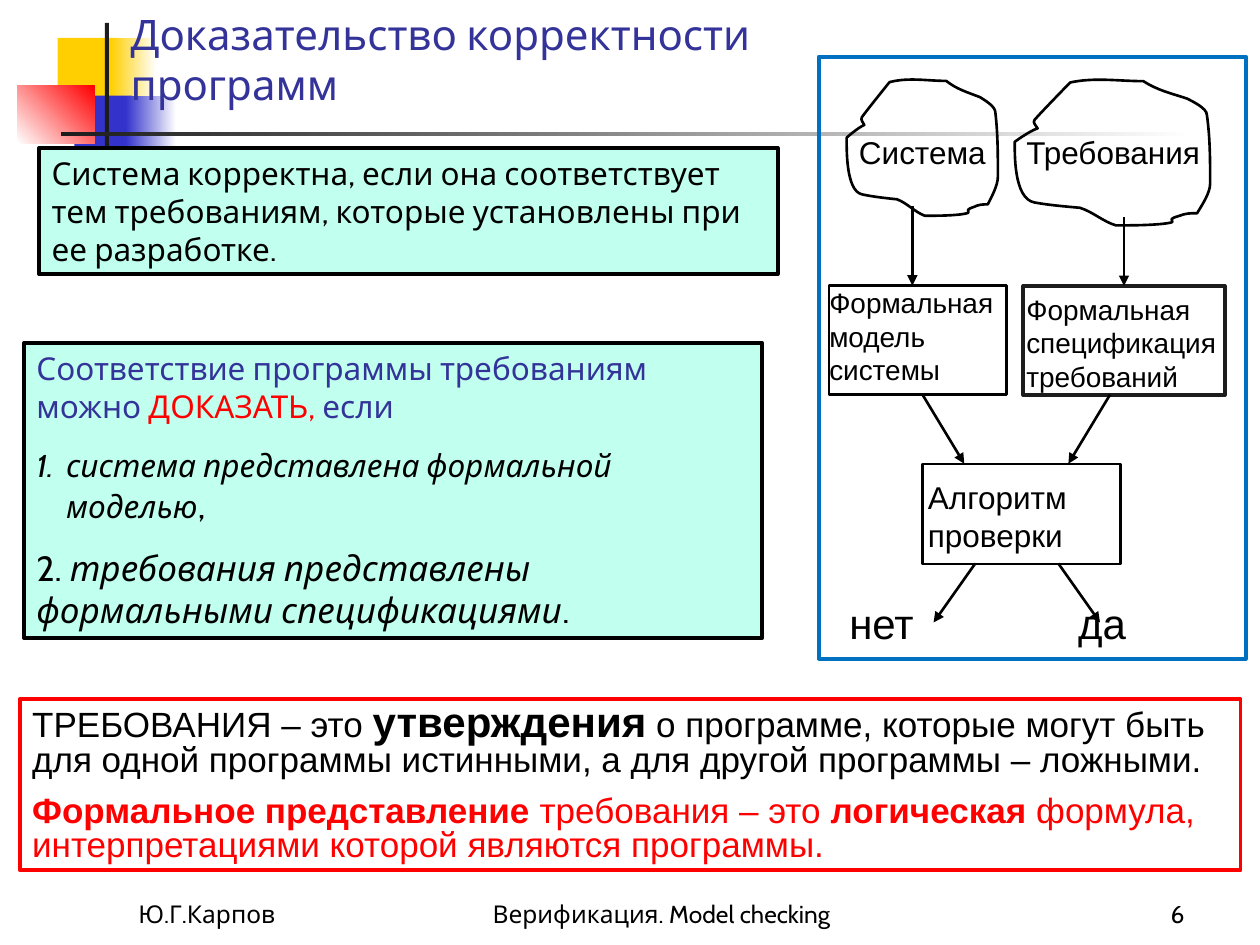
from copy import deepcopy
from dataclasses import dataclass
from typing import Optional

from lxml import etree
from pptx import Presentation
from pptx.dml.color import RGBColor
from pptx.enum import shapes, text
from pptx.oxml import ns
from pptx.util import Pt

COLORS = {
    "black": "000000", "ink": "1C1C1C", "white": "FFFFFF", "yellow": "FFCF01",
    "blue": "3333CC", "title": "333399", "red": "FF0000", "mint": "C1FFEF", "frame": "0070C0",
}


@dataclass
class Area:
    left: float
    top: float
    width: float
    height: float

    def lengths(self) -> list:
        return [Pt(v) for v in (self.left, self.top, self.width, self.height)]


@dataclass
class Span:
    words: str
    size: float = 18
    color: str = "black"
    font: str = "Arial"
    bold: bool = False
    italic: bool = False


@dataclass
class Para:
    spans: list
    before: float = 0
    spacing: Optional[float] = None
    align: str = "LEFT"
    numbered: bool = False


@dataclass
class Decor:
    area: Area
    start: str
    end: Optional[str] = None
    angle: float = 0


@dataclass
class Arrow:
    start: tuple
    end: tuple
    target: Optional[str] = None


def rgb(name: str) -> RGBColor:
    return RGBColor.from_string(COLORS[name])


def number_paragraph(para) -> None:
    props = para._p.get_or_add_pPr()
    props.set("marL", str(Pt(17)))
    props.set("indent", str(-Pt(17)))
    color = etree.SubElement(props, ns.qn("a:buClr"))
    etree.SubElement(color, ns.qn("a:srgbClr")).set("val", COLORS["black"])
    etree.SubElement(props, ns.qn("a:buAutoNum")).set("type", "arabicPeriod")


def write(shape, paras: list, anchor: str = "TOP") -> None:
    frame = shape.text_frame
    frame_format = {
        "word_wrap": True, "auto_size": text.MSO_AUTO_SIZE.NONE,
        "vertical_anchor": getattr(text.MSO_ANCHOR, anchor),
        "margin_left": Pt(7.2), "margin_right": Pt(7.2),
        "margin_top": Pt(3.6), "margin_bottom": Pt(3.6),
    }
    for key, value in frame_format.items():
        setattr(frame, key, value)
    for index, item in enumerate(paras):
        para = frame.add_paragraph() if index else frame.paragraphs[0]
        if item.numbered:
            number_paragraph(para)
        para.alignment = getattr(text.PP_ALIGN, item.align)
        para.space_before = Pt(item.before)
        if item.spacing:
            para.line_spacing = item.spacing
        for span in item.spans:
            for row, words in enumerate(span.words.split("\n")):
                if row:
                    para.add_line_break()
                run = para.add_run()
                run.text = words
                formats = {"name": span.font, "size": Pt(span.size),
                           "bold": span.bold, "italic": span.italic}
                for key, value in formats.items():
                    setattr(run.font, key, value)
                run.font.color.rgb = rgb(span.color)
        # A line break keeps the height of the text around it.
        for line_break in para._p.findall(ns.qn("a:br")):
            line_break.append(deepcopy(para.runs[0]._r.rPr))


def paint(shape, fill: Optional[str], line: Optional[str], weight: float) -> None:
    shape.shadow.inherit = False
    if fill:
        shape.fill.solid()
        shape.fill.fore_color.rgb = rgb(fill)
    else:
        shape.fill.background()
    if line:
        shape.line.color.rgb = rgb(line)
        shape.line.width = Pt(weight)
    else:
        shape.line.fill.background()


def add_rectangle(page, area: Area, fill: Optional[str] = None,
                  line: Optional[str] = None, weight: float = 2.25):
    shape = page.shapes.add_shape(shapes.MSO_SHAPE.RECTANGLE, *area.lengths())
    paint(shape, fill, line, weight)
    return shape


def add_decor(page, decor: Decor) -> None:
    shape = add_rectangle(page, decor.area, decor.start)
    if decor.end:
        shape.fill.gradient()
        shape.fill.gradient_angle = decor.angle
        for stop, color in zip(shape.fill.gradient_stops, (decor.start, decor.end)):
            stop.color.rgb = rgb(color)


def add_label(page, area: Area, paras: list, anchor: str = "TOP") -> None:
    write(page.shapes.add_textbox(*area.lengths()), paras, anchor)


def add_cloud(page, left: float, top: float, x_scale: float, y_scale: float) -> None:
    """Outline the control points, then merge each three segments into one curve."""
    points = [CLOUD_START, *(point for curve in CLOUD_CURVES for point in curve)]
    placed = [(Pt(left + x * x_scale), Pt(top + y * y_scale)) for x, y in points]
    builder = page.shapes.build_freeform(*placed[0])
    builder.add_line_segments(placed[1:], close=True)
    cloud = builder.convert_to_shape()
    segments = list(cloud._element.iter(ns.qn("a:lnTo")))[:len(points) - 1]
    for first in range(0, len(segments), 3):
        curve = etree.Element(ns.qn("a:cubicBezTo"))
        segments[first].addprevious(curve)
        for segment in segments[first:first + 3]:
            curve.append(segment[0])
            segment.getparent().remove(segment)
    paint(cloud, None, "black", 1.5)


def add_arrow(page, arrow: Arrow, boxes: dict) -> None:
    ends = [Pt(v) for v in (*arrow.start, *arrow.end)]
    line = page.shapes.add_connector(shapes.MSO_CONNECTOR.STRAIGHT, *ends)
    if arrow.target:
        line.end_connect(boxes[arrow.target], 0)
    line.line.color.rgb = rgb("black")
    line.line.width = Pt(1.5)
    etree.SubElement(line.line._get_or_add_ln(), ns.qn("a:tailEnd")).set("type", "triangle")
    etree.SubElement(line._element.spPr, ns.qn("a:effectLst"))


def cabin(words: str, size: float = 18, color: str = "black", italic: bool = False) -> Span:
    return Span(words, size, color, "Cabin", italic=italic)


DECOR = [
    Decor(Area(33, 21.6, 34.5, 37.5), "yellow"),
    Decor(Area(63.4, 21.6, 26, 37.5), "yellow", "white"),
    Decor(Area(42.5, 54.7, 33, 37.5), "blue"),
    Decor(Area(72, 54.7, 28.8, 37.5), "blue", "white"),
    Decor(Area(10, 49, 44, 33), "white", "red", 45),
    Decor(Area(60, 13, 2.2, 82.8), "ink"),
    Decor(Area(34.6, 75.6, 648, 2.2), "ink", "white"),
]
CLOUD_START = (15, 38)
CLOUD_CURVES = [
    ((10, 40), (1, 48), (1, 48)), ((1, 55), (0, 90), (13, 93)),
    ((22, 95), (32, 96), (41, 97)), ((49, 100), (55, 107), (63, 110)),
    ((72, 110), (82, 110), (91, 109)), ((106, 107), (90, 107), (102, 103)),
    ((106, 101), (109, 101), (113, 101)), ((116, 95), (121, 86), (121, 79)),
    ((121, 62), (121, 45), (119, 28)), ((119, 23), (110, 18), (107, 16)),
    ((97, 12), (89, 10), (80, 3)), ((65, 3), (50, 0), (35, 4)),
    ((35, 4), (14, 30), (13, 32)), ((12, 34), (14, 36), (15, 38)),
]
BOXES = {
    "model": (Area(473.8, 163.2, 101.5, 62.4), "black", 1.5),
    "specification": (Area(584.8, 163.4, 115, 62.4), "ink", 2.25),
    "algorithm": (Area(527.3, 265.2, 113, 57), "black", 1.5),
    "frame": (Area(468, 32.4, 243.8, 344), "frame", 2.25),
}
LABELS = [
    (Area(483.8, 72.3, 89.3, 29), Span("Система")),
    (Area(579.4, 72.3, 118, 29), Span("Требования")),
    (Area(466.8, 159.7, 113, 65), Span("Формальная модель системы", 16)),
    (Area(579.4, 163.4, 126.7, 65), Span("Формальная спецификация требований", 16)),
    (Area(523.2, 269.8, 112.3, 50.4), Span("Алгоритм проверки")),
    (Area(478.2, 337.7, 71.3, 36), Span("нет", 24)),
    (Area(609, 337.7, 71.3, 36), Span("да", 24)),
]
ARROWS = [
    Arrow((521.4, 118), (521.4, 163.2)), Arrow((642.3, 124), (642.3, 163.4), "specification"),
    Arrow((527.2, 225.6), (551, 265)), Arrow((634.3, 225.6), (610.5, 265)),
    Arrow((557.3, 322), (533.5, 355.7)), Arrow((604.8, 322), (628.6, 355.7)),
]
FOOTER = [(Area(72, 498.2, 150, 36), "Ю.Г.Карпов", "LEFT"),
          (Area(264, 498.2, 228, 36), "Верификация. Model checking", "CENTER"),
          (Area(534, 498.2, 150, 36), "6", "RIGHT")]
STATEMENTS = [
    (Area(22.4, 84.6, 422, 72), "mint", "black", [Para([cabin(
        "Система корректна, если она соответствует тем требованиям, "
        "которые установлены при ее разработке.")])]),
    (Area(13.7, 196.1, 422, 168.4), "mint", "black", [
        Para([cabin("Соответствие программы требованиям можно ", color="title"),
              cabin("ДОКАЗАТЬ,", color="red"), cabin(" если", color="title")]),
        Para([cabin("система представлена формальной моделью", italic=True), cabin(",", 20)],
             before=12, numbered=True),
        Para([cabin("2. ", 20),
              cabin("требования представлены формальными спецификациями", 20, italic=True),
              cabin(".", 20)], before=12)]),
    (Area(11.3, 399.6, 697.6, 97.7), None, "red", [
        Para([Span("ТРЕБОВАНИЯ – это ", 20), Span("утверждения", 24, bold=True),
              Span(" о программе, которые могут быть для одной программы истинными, "
                   "а для другой программы – ложными.", 20)], spacing=0.8),
        Para([Span("Формальное представление ", 20, "red", bold=True),
              Span("требования – это ", 20, "red"), Span("логическая", 20, "red", bold=True),
              Span(" формула, интерпретациями которой являются программы.", 20, "red")],
             before=10, spacing=0.8)]),
]


def main() -> None:
    deck = Presentation()
    deck.slide_width, deck.slide_height = Pt(720), Pt(540)
    page = deck.slides.add_slide(deck.slide_layouts[5])
    for decor in DECOR:
        add_decor(page, decor)
    title = page.shapes.title
    page.shapes._spTree.append(title._element)  # above the decoration
    title.left, title.top, title.width, title.height = Area(67.4, 8.3, 613.4, 57.6).lengths()
    write(title, [Para([cabin("Доказательство корректности \nпрограмм", 24, "title")])], "BOTTOM")
    for area, words, align in FOOTER:
        add_label(page, area, [Para([cabin(words, 14)], align=align)], "BOTTOM")
    add_cloud(page, 483.1, 44.1, 0.72, 0.72)
    add_cloud(page, 579, 44.1, 0.93, 0.77)
    boxes = {name: add_rectangle(page, area, None, line, weight)
             for name, (area, line, weight) in BOXES.items()}
    for area, span in LABELS:
        add_label(page, area, [Para([span])])
    for arrow in ARROWS:
        add_arrow(page, arrow, boxes)
    for area, fill, line, paras in STATEMENTS:
        write(add_rectangle(page, area, fill, line), paras)
    deck.save("out.pptx")


if __name__ == "__main__":
    main()
